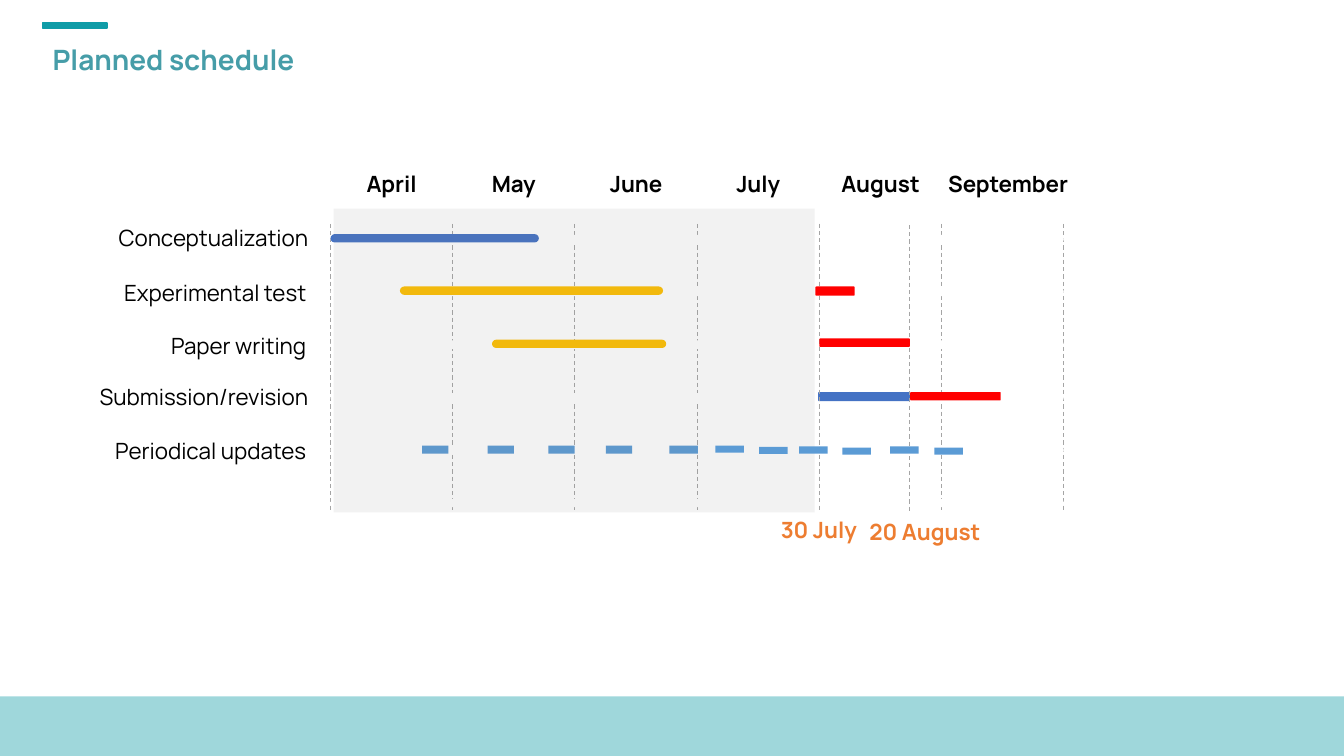
from dataclasses import dataclass
from typing import Any

from lxml.etree import SubElement
from pptx import Presentation
from pptx.dml.color import RGBColor as RGB
from pptx.enum.dml import MSO_LINE
from pptx.enum.shapes import MSO_CONNECTOR as CONN, MSO_SHAPE as SHAPE
from pptx.enum.text import MSO_ANCHOR as ANCHOR, MSO_AUTO_SIZE as FIT, PP_ALIGN as ALIGN
from pptx.oxml.ns import qn
from pptx.util import Cm, Pt


@dataclass(frozen=True)
class Theme:
    font: str = "Manrope"
    title_size: int = 20
    body_size: int = 16
    title: str = "469DA8"
    accent: str = "0F9CA7"
    text: str = "000000"
    deadline: str = "ED7D31"
    grid: str = "A5A5A5"
    track: str = "FFFFFF"
    elapsed: str = "808080"
    blue: str = "4472C4"
    yellow: str = "FFC000"
    red: str = "FF0000"
    update: str = "5B9BD5"


@dataclass(frozen=True)
class Block:
    left: float
    top: float
    width: float
    height: float
    color: str
    rounding: float = 0
    alpha: int = 100


@dataclass(frozen=True)
class Label:
    text: str
    left: float
    top: float
    width: float
    height: float
    color: str
    para: dict[str, Any]
    bold: bool = True
    anchor: Any = ANCHOR.TOP


T = Theme()
GRID_LEFT, GRID_TOP, GRID_BOTTOM = 8.33, 5.64, 12.9
MONTH_W, ROW_H = 3.08, 1.33
TRACK_TOP, TRACK_H = 5.92, 0.21
MONTHS = ["April", "May", "June", "July", "August", "September"]
TASKS = [
    ("Conceptualization", 7.77, 1.0),
    ("Experimental test", 7.72, 1.15),
    ("Paper writing", 7.72, 1.15),
    ("Submission/revision", 7.77, 1.0),
    ("Periodical updates", 7.72, 1.15),
]
LABEL_W = 5.8
CENTERED = {"alignment": ALIGN.CENTER, "space_after": Pt(16)}

PLANNED = [
    Block(8.33, 5.9, 5.25, 0.21, T.blue, 0.5),
    Block(10.08, 7.22, 6.63, 0.21, T.yellow, 0.5),
    Block(12.4, 8.56, 4.39, 0.21, T.yellow, 0.5),
    Block(20.62, 9.88, 2.31, 0.23, T.blue, 0.1),
]
DELAYED = [
    Block(20.65, 8.53, 2.28, 0.21, T.red, 0.1),
    Block(20.55, 7.22, 0.99, 0.23, T.red, 0.1),
    Block(22.94, 9.88, 2.28, 0.21, T.red, 0.1),
]
EARLY_UPDATES = [
    Block(left, 11.23, width, 0.2, T.update)
    for left, width in [(10.64, 0.66), (12.29, 0.66), (13.82, 0.66), (15.27, 0.66), (16.87, 0.72)]
]
LATE_UPDATES = [
    Block(left, top, 0.72, 0.18, T.update)
    for left, top in [(18.03, 11.23), (19.13, 11.26), (20.14, 11.25),
                      (21.23, 11.28), (22.43, 11.25), (23.55, 11.28)]
]
ELAPSED = Block(8.41, 5.26, 12.12, 7.65, T.elapsed, alpha=10)
DEADLINES = [
    (20.65, 5.64, Label("30 July", 19.1, 13.0, 3.07, 2.26, T.deadline, CENTERED)),
    (22.92, 5.67, Label("20 August", 21.39, 13.06, 3.84, 2.26, T.deadline, CENTERED)),
]


def set_all(obj: Any, values: dict[str, Any]) -> None:
    for name, value in values.items():
        setattr(obj, name, value)


def format_run(r: Any, size: int, color: str, bold: bool) -> None:
    set_all(r.font, {"name": T.font, "size": Pt(size), "bold": bold})
    r.font.color.rgb = RGB.from_string(color)


def add_block(s: Any, b: Block) -> Any:
    kind = SHAPE.ROUNDED_RECTANGLE if b.rounding else SHAPE.RECTANGLE
    sp = s.shapes.add_shape(kind, Cm(b.left), Cm(b.top), Cm(b.width), Cm(b.height))
    sp.shadow.inherit = False
    sp.line.fill.background()
    sp.fill.solid()
    sp.fill.fore_color.rgb = RGB.from_string(b.color)
    if b.rounding:
        sp.adjustments[0] = b.rounding
    if b.alpha < 100:
        clr = sp._element.spPr.find(qn("a:solidFill"))[0]
        SubElement(clr, qn("a:alpha")).set("val", str(b.alpha * 1000))
    return sp


def add_label(s: Any, label: Label) -> None:
    sp = s.shapes.add_textbox(Cm(label.left), Cm(label.top), Cm(label.width), Cm(label.height))
    tf = sp.text_frame
    set_all(tf, {"word_wrap": True, "vertical_anchor": label.anchor, "margin_left": 0,
                 "margin_right": 0, "margin_top": 0, "margin_bottom": 0})
    p = tf.paragraphs[0]
    set_all(p, label.para)
    r = p.add_run()
    r.text = label.text
    format_run(r, T.body_size, label.color, label.bold)


def add_guide(s: Any, x: float, top: float) -> None:
    bottom = top + GRID_BOTTOM - GRID_TOP
    line = s.shapes.add_connector(CONN.STRAIGHT, Cm(x), Cm(top), Cm(x), Cm(bottom))
    line.line.color.rgb = RGB.from_string(T.grid)
    set_all(line.line, {"width": Pt(0.75), "dash_style": MSO_LINE.DASH})
    SubElement(line._element.spPr, qn("a:effectLst"))


def add_title(s: Any, text: str) -> None:
    sp = s.shapes.title
    set_all(sp, {"left": Cm(1.07), "top": Cm(1.02), "width": Cm(31.7), "height": Cm(1.04)})
    tf = sp.text_frame
    set_all(tf, {"word_wrap": True, "auto_size": FIT.NONE, "vertical_anchor": ANCHOR.MIDDLE})
    p = tf.paragraphs[0]
    set_all(p, {"alignment": ALIGN.LEFT, "line_spacing": 0.9})
    r = p.add_run()
    r.text = text
    format_run(r, T.title_size, T.title, True)


def add_frame(s: Any) -> None:
    accent = add_block(s, Block(1.07, 0.58, 1.63, 0.13, T.accent))
    accent.line.color.rgb = RGB.from_string(T.accent)
    accent.line.width = Pt(1)
    add_block(s, Block(0, 17.55, 33.87, 1.5, T.accent, alpha=40))


def add_grid(s: Any) -> None:
    for i in range(len(MONTHS) + 1):
        add_guide(s, GRID_LEFT + i * MONTH_W, GRID_TOP)
    for i, month in enumerate(MONTHS):
        width = 3.35 if month == MONTHS[-1] else MONTH_W
        add_label(s, Label(month, GRID_LEFT + i * MONTH_W, 4.29, width, 0.64, T.text, CENTERED))
    for i, (task, right, spacing) in enumerate(TASKS):
        para = {"alignment": ALIGN.RIGHT, "line_spacing": spacing}
        add_label(s, Label(task, right - LABEL_W, GRID_TOP + i * ROW_H, LABEL_W, 0.71,
                           T.text, para, False, ANCHOR.MIDDLE))
    for i in range(len(TASKS) + 1):
        add_block(s, Block(GRID_LEFT, TRACK_TOP + i * ROW_H, MONTH_W * len(MONTHS), TRACK_H,
                           T.track, 0.5))


def main() -> None:
    prs = Presentation()
    set_all(prs, {"slide_width": Cm(33.87), "slide_height": Cm(19.05)})
    s = prs.slides.add_slide(prs.slide_layouts[5])
    add_frame(s)
    add_title(s, "Planned schedule")
    add_grid(s)
    for block in PLANNED + EARLY_UPDATES:
        add_block(s, block)
    for x, top, label in DEADLINES:
        add_guide(s, x, top)
        add_label(s, label)
    for block in [ELAPSED] + DELAYED + LATE_UPDATES:
        add_block(s, block)
    prs.save("out.pptx")


if __name__ == "__main__":
    main()
